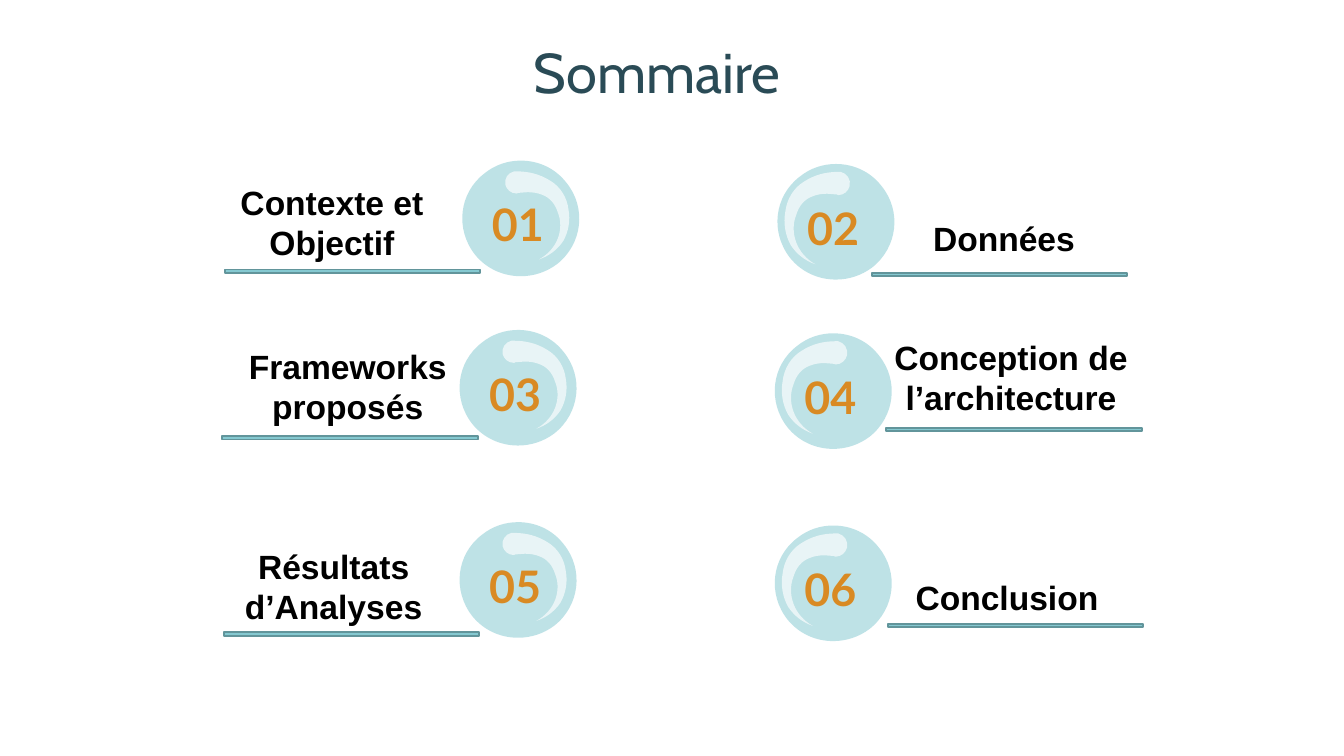
from lxml import etree
from pptx import Presentation
from pptx.dml.color import RGBColor
from pptx.enum.shapes import MSO_SHAPE
from pptx.enum.text import MSO_ANCHOR, PP_ALIGN
from pptx.oxml.ns import qn
from pptx.util import Inches, Pt

RECT = MSO_SHAPE.RECTANGLE
TOP, BOTTOM = MSO_ANCHOR.TOP, MSO_ANCHOR.BOTTOM
LEFT, CENTER = PP_ALIGN.LEFT, PP_ALIGN.CENTER

RULE_W, RULE_H = 3.8, 0.05

# Outlines from the top centre of a ball: start, then lines (one point)
# and cubic curves (three points)
BALL = [
    [(0, 0)],
    [(-0.19, 0), (-0.38, 0.06), (-0.54, 0.19)],
    [(-0.92, 0.48), (-0.98, 1.02), (-0.68, 1.4)],
    [(-0.51, 1.61), (-0.26, 1.72), (0, 1.72)],
    [(0.19, 1.72), (0.38, 1.66), (0.54, 1.54)],
    [(0.92, 1.24), (0.98, 0.7), (0.68, 0.33)],
    [(0.51, 0.11), (0.26, 0), (0, 0)],
]
SHINE = [
    [(-0.07, 0.16)],
    [(-0.08, 0.16), (-0.09, 0.16), (-0.1, 0.16)],
    [(-0.19, 0.18), (-0.25, 0.27), (-0.23, 0.36)],
    [(-0.21, 0.43), (-0.15, 0.49), (-0.06, 0.49)],
    [(-0.05, 0.49), (-0.04, 0.49), (-0.04, 0.48)],
    [(-0.03, 0.48)],
    [(0.01, 0.48), (0.05, 0.47), (0.1, 0.47)],
    [(0.17, 0.47), (0.25, 0.48), (0.32, 0.51)],
    [(0.43, 0.55), (0.51, 0.64), (0.55, 0.77)],
    [(0.6, 0.89), (0.6, 1.03), (0.55, 1.16)],
    [(0.5, 1.29), (0.4, 1.4), (0.27, 1.47)],
    [(0.42, 1.42), (0.54, 1.33), (0.63, 1.2)],
    [(0.71, 1.06), (0.74, 0.89), (0.71, 0.73)],
    [(0.69, 0.55), (0.59, 0.39), (0.44, 0.3)],
    [(0.28, 0.2), (0.12, 0.16), (-0.07, 0.16)],
]

# number, title, top centre of ball, label left, top and width, rule left and top
ITEMS = [
    ("01", "Contexte et Objectif", (7.75, 2.39), (2.82, 2.5, 4.24), (3.35, 4.01)),
    ("02", "Données", (12.44, 2.44), (12.98, 3.04, 3.92), (12.97, 4.06)),
    ("03", "Frameworks proposés", (7.71, 4.91), (2.97, 4.94, 4.41), (3.31, 6.49)),
    ("04", "Conception de l’architecture", (12.4, 4.96), (12.84, 4.81, 4.41), (13.19, 6.37)),
    ("05", "Résultats d’Analyses", (7.71, 7.77), (2.76, 7.92, 4.41), (3.33, 9.41)),
    ("06", "Conclusion", (12.4, 7.82), (12.78, 8.38, 4.41), (13.21, 9.28)),
]


def color(code):
    return RGBColor.from_string(code)


def paint(shape, code, alpha=None):
    """Fill a shape without shadow or line; alpha is the opacity in percent."""
    shape.shadow.inherit = False
    shape.fill.solid()
    shape.fill.fore_color.rgb = color(code)
    shape.line.fill.background()
    if alpha:
        tone = shape.fill._xPr.find(qn("a:solidFill"))[0]
        etree.SubElement(tone, qn("a:alpha")).set("val", str(alpha * 1000))


def add_text(slide, box, text, font, size, code, bold=True, align=CENTER,
             anchor=TOP, inset=0.2):
    frame = slide.shapes.add_textbox(*map(Inches, box)).text_frame
    frame.word_wrap = True
    frame.vertical_anchor = anchor
    frame.margin_left = frame.margin_right = Inches(inset)
    frame.margin_top = frame.margin_bottom = Inches(inset)
    frame.text = text
    para = frame.paragraphs[0]
    para.alignment = align
    run = para.runs[0].font
    run.name, run.size, run.bold = font, Pt(size), bold
    run.color.rgb = color(code)
    return para


def add_curve(slide, x, y, parts, code, alpha):
    """Draw an outline around (x, y), turning each three points into a curve."""
    points = [(Inches(x + dx), Inches(y + dy))
              for part in parts for dx, dy in part]
    outline = slide.shapes.build_freeform(*points[0])
    outline.add_line_segments(points[1:])
    shape = outline.convert_to_shape()
    lines = iter(list(shape._element.iter(qn("a:lnTo"))))
    for part in parts[1:]:
        steps = [next(lines) for _ in part]
        if len(steps) == 3:
            curve = etree.Element(qn("a:cubicBezTo"))
            steps[0].addprevious(curve)
            for step in steps:
                curve.append(step[0])
                step.getparent().remove(step)
    paint(shape, code, alpha)


def add_ball(slide, x, y, number, flip):
    """Draw a numbered ball; flip mirrors its slightly enlarged shine."""
    shine = SHINE
    if flip:
        shine = [[(-1.02 * dx - 0.03, 1.05 * dy - 0.05) for dx, dy in part]
                 for part in SHINE]
    add_curve(slide, x, y, BALL, "47AEBA", 35)
    add_curve(slide, x, y, shine, "FFFFFF", 65)
    add_text(slide, (x - 0.63, y + 0.29, 1.19, 1.25), number,
             "Lato", 48, "D98A23", align=LEFT, anchor=BOTTOM)


def add_rule(slide, left, top):
    rule = slide.shapes.add_shape(
        RECT, Inches(left), Inches(top), Inches(RULE_W), Inches(RULE_H))
    paint(rule, "85C9D1")
    rule.line.color.rgb = color("62959B")
    rule.line.width = Pt(2)


def add_item(slide, number, title, ball, label, rule):
    add_ball(slide, *ball, number, flip=label[0] > ball[0])
    add_text(slide, (*label, 1.25), title, "Arial", 36, "000000")
    add_rule(slide, *rule)


def main():
    deck = Presentation()
    deck.slide_width, deck.slide_height = Inches(20), Inches(11.25)
    slide = deck.slides.add_slide(deck.slide_layouts[6])
    head = add_text(slide, (1.15, 0.34, 17.44, 1.18), "Sommaire ",
                    "Cabin", 60, "2A4B56", bold=False, inset=0)
    head.line_spacing = Pt(87.2)
    for item in ITEMS:
        add_item(slide, *item)
    deck.save("out.pptx")


if __name__ == "__main__":
    main()
